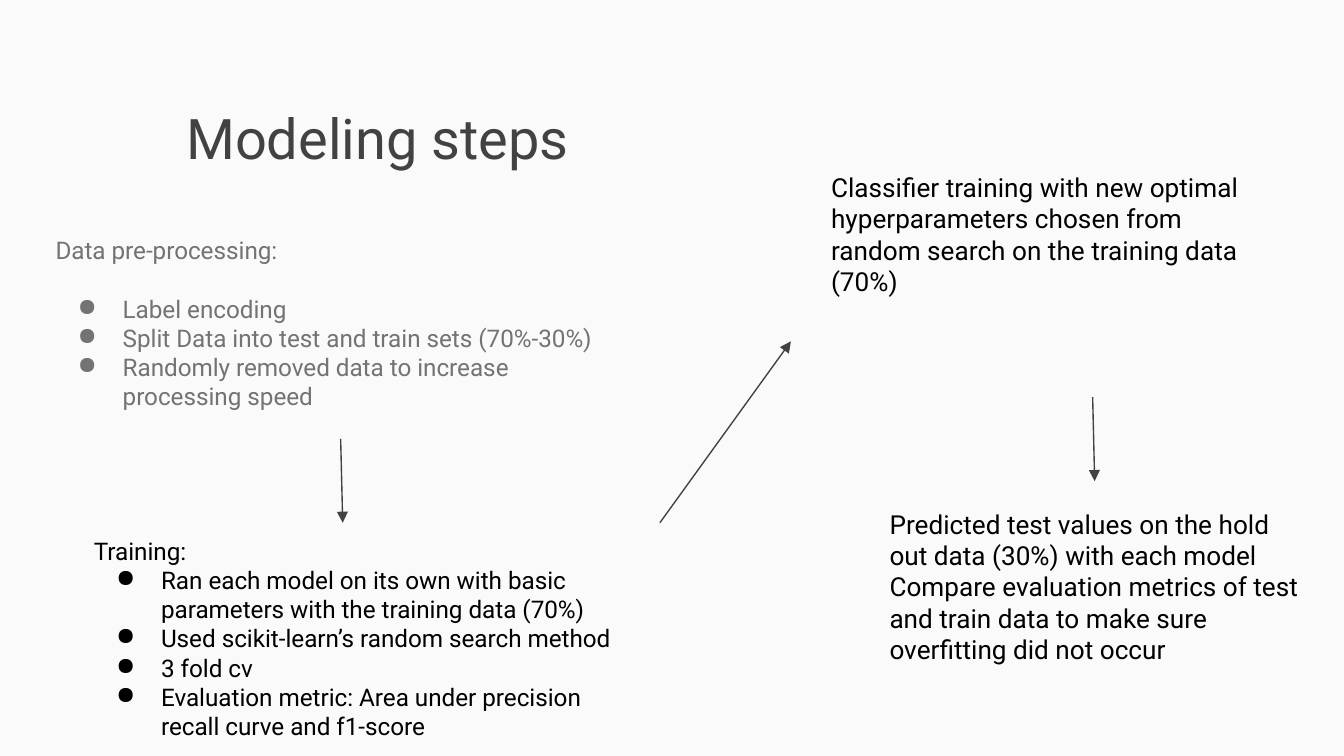
from dataclasses import dataclass

from lxml import etree
from pptx import Presentation
from pptx.dml.color import RGBColor
from pptx.enum.shapes import MSO_CONNECTOR
from pptx.enum.text import MSO_ANCHOR, PP_ALIGN
from pptx.oxml.ns import qn
from pptx.slide import Slide
from pptx.util import Emu, Pt

STRAIGHT = MSO_CONNECTOR.STRAIGHT
TOP, BOTTOM = MSO_ANCHOR.TOP, MSO_ANCHOR.BOTTOM
LEFT, CENTER = PP_ALIGN.LEFT, PP_ALIGN.CENTER

PX = 4572  # EMU, 200 px to the inch
SLIDE_WIDTH, SLIDE_HEIGHT = 2000, 1125
FONT = "Roboto"
BACKGROUND, DARK, GRAY, BLACK = "FAFAFA", "424242", "737373", "000000"
INSET, BULLET_INDENT, BULLET_HANG = 20, 100, 67


@dataclass(frozen=True)
class Step:
    left: int
    top: int
    width: int
    height: int
    paragraphs: tuple[str, ...]
    bullets: tuple[str, ...] = ()
    size: int = 14
    color: str = BLACK
    bullet_gap: int = 0


@dataclass(frozen=True)
class Arrow:
    x1: int
    y1: int
    x2: int
    y2: int


STEPS = (
    Step(63, 330, 892, 254, ("Data pre-processing:",),
         ("Label encoding",
          "Split Data into test and train sets (70%-30%)",
          "Randomly removed data to increase processing speed"),
         size=13, color=GRAY, bullet_gap=16),
    Step(120, 778, 822, 346, ("Training:",),
         ("Ran each model on its own with basic parameters with the training data (70%)",
          "Used scikit-learn’s random search method",
          "3 fold cv",
          "Evaluation metric: Area under precision recall curve and f1-score"),
         size=13),
    Step(1217, 235, 684, 228,
         ("Classifier training with new optimal hyperparameters chosen from "
          "random search on the training data (70%)",)),
    Step(1304, 736, 662, 276,
         ("Predicted test values on the hold out data (30%) with each model",
          "Compare evaluation metrics of test and train data to make sure "
          "overfitting did not occur")),
)
ARROWS = (
    Arrow(507, 653, 510, 778),
    Arrow(982, 778, 1177, 508),
    Arrow(1626, 591, 1629, 716),
)


def px(length: int) -> Emu:
    return Emu(length * PX)


def rgb(color: str) -> RGBColor:
    return RGBColor.from_string(color)


def add_bullet(paragraph, color: str) -> None:
    properties = paragraph._p.get_or_add_pPr()
    properties.set("marL", str(px(BULLET_INDENT)))
    properties.set("indent", str(-px(BULLET_HANG)))
    bullet_color = etree.SubElement(properties, qn("a:buClr"))
    etree.SubElement(bullet_color, qn("a:srgbClr"), val=color)
    etree.SubElement(properties, qn("a:buChar"), char="●")


def add_text(slide: Slide, left: int, top: int, width: int, height: int,
             paragraphs: tuple[str, ...], *, bullets: tuple[str, ...] = (),
             size: int, color: str, bullet_gap: int = 0,
             align=LEFT, anchor=TOP) -> None:
    """Write plain paragraphs, then bulleted ones, in one text box."""
    frame = slide.shapes.add_textbox(px(left), px(top), px(width), px(height)).text_frame
    frame.word_wrap = True
    frame.vertical_anchor = anchor
    frame.margin_left = frame.margin_right = px(INSET)
    frame.margin_top = frame.margin_bottom = px(INSET)
    for index, words in enumerate(paragraphs + bullets):
        paragraph = frame.add_paragraph() if index else frame.paragraphs[0]
        paragraph.alignment = align
        if index == len(paragraphs) and bullet_gap:
            paragraph.space_before = Pt(bullet_gap)
        if index >= len(paragraphs):
            add_bullet(paragraph, color)
        run = paragraph.add_run()
        run.text = words
        run.font.name = FONT
        run.font.size = Pt(size)
        run.font.color.rgb = rgb(color)


def draw_step(slide: Slide, step: Step) -> None:
    add_text(slide, step.left, step.top, step.width, step.height, step.paragraphs,
             bullets=step.bullets, size=step.size, color=step.color,
             bullet_gap=step.bullet_gap)


def draw_arrow(slide: Slide, arrow: Arrow) -> None:
    connector = slide.shapes.add_connector(
        STRAIGHT, px(arrow.x1), px(arrow.y1), px(arrow.x2), px(arrow.y2))
    connector.line.color.rgb = rgb(DARK)
    connector.line.width = Pt(0.75)
    etree.SubElement(connector.line._get_or_add_ln(), qn("a:tailEnd"), type="triangle")
    etree.SubElement(connector._element.spPr, qn("a:effectLst"))


def main() -> None:
    presentation = Presentation()
    presentation.slide_width, presentation.slide_height = px(SLIDE_WIDTH), px(SLIDE_HEIGHT)
    slide = presentation.slides.add_slide(presentation.slide_layouts[6])
    slide.background.fill.solid()
    slide.background.fill.fore_color.rgb = rgb(BACKGROUND)

    add_text(slide, 101, 74, 922, 200, ("Modeling steps",),
             size=30, color=DARK, align=CENTER, anchor=BOTTOM)
    for step in STEPS:
        draw_step(slide, step)
    for arrow in ARROWS:
        draw_arrow(slide, arrow)

    presentation.save("out.pptx")


if __name__ == "__main__":
    main()
